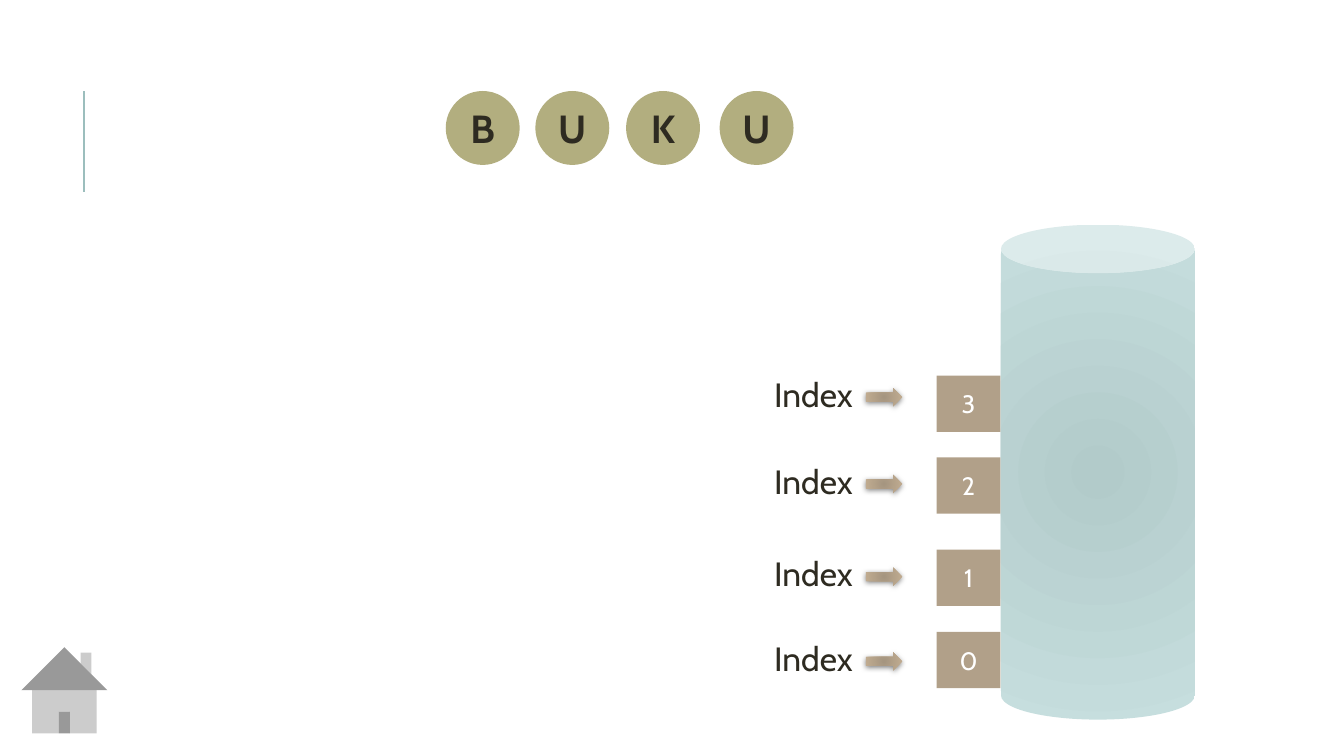
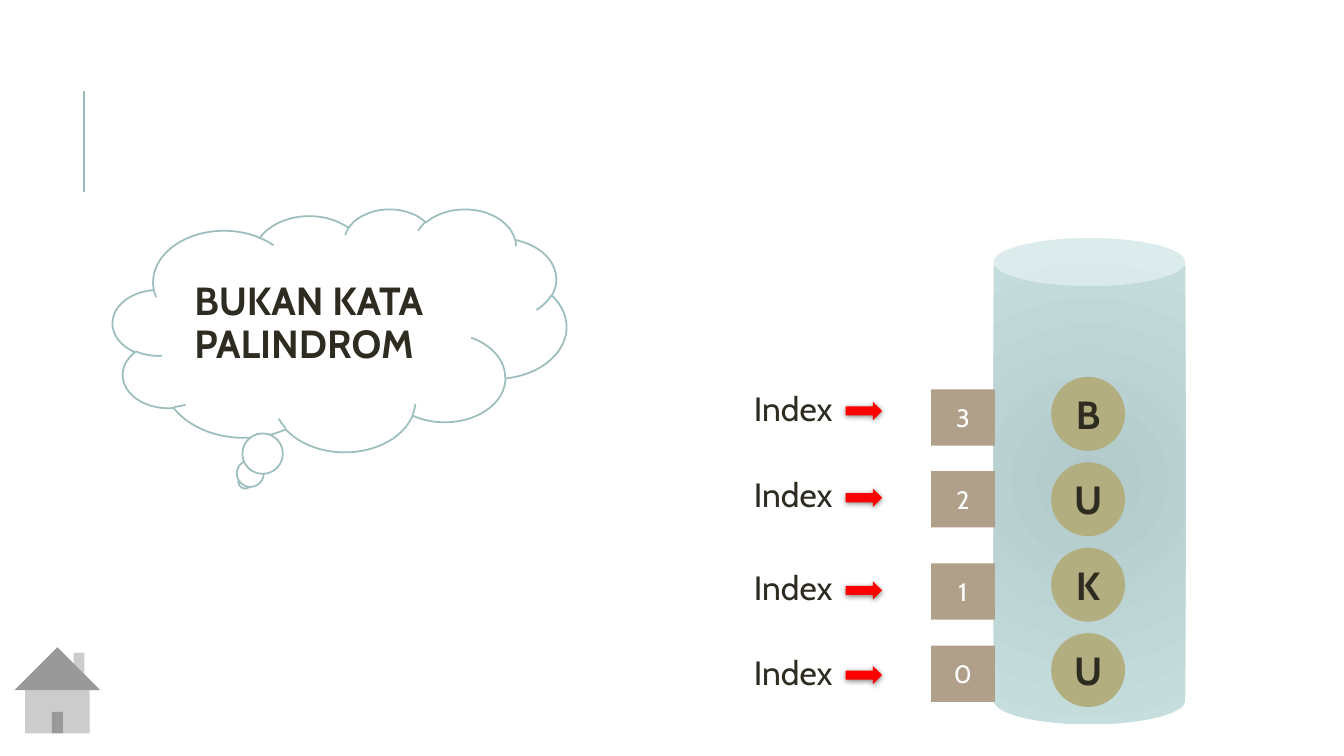
"""Build two slides that show the word BUKU before and after it fills a stack."""
from lxml import etree
from pptx import Presentation
from pptx.dml.color import RGBColor
from pptx.enum import shapes, text
from pptx.oxml import ns
from pptx.util import Pt

WHITE = RGBColor(0xFF, 0xFF, 0xFF)
INK = RGBColor(0x2E, 0x2B, 0x21)
TEAL = RGBColor(0x9C, 0xBE, 0xBD)
OLIVE = RGBColor(0xB2, 0xAE, 0x7F)
TAN = RGBColor(0xB1, 0xA0, 0x89)
RED = RGBColor(0xFF, 0x00, 0x00)
STACK_GRADIENT = (RGBColor(0xB2, 0xCB, 0xCA), RGBColor(0xC6, 0xDE, 0xDE))
ARROW_GRADIENT = (RGBColor(0xA5, 0x95, 0x80), RGBColor(0xC3, 0xAE, 0x92))

FONT = "Cabin"
WORD = "BUKU"
LETTER_SIZE = 52.8
LABEL_TOPS = (452.2, 391.7, 325.5, 263.5)
CELL_TOPS = (451.4, 392.6, 326.8, 268.4)
PRESET = shapes.MSO_SHAPE


def add_effects(element):
    """Append an effect list to the shape properties and return it."""
    return etree.SubElement(element.spPr, ns.qn("a:effectLst"))


def add_shadow(shape):
    """Give a shape a soft shadow that falls straight down."""
    shadow = etree.SubElement(add_effects(shape.element), ns.qn("a:outerShdw"),
                              blurRad=str(Pt(4)), dist=str(Pt(1)), dir="5400000",
                              rotWithShape="0")
    black = etree.SubElement(shadow, ns.qn("a:srgbClr"), val="000000")
    etree.SubElement(black, ns.qn("a:alpha"), val="50000")


def fill_radial(shape, colors):
    """Fill a shape with a circular gradient between two colours."""
    shape.fill.gradient()
    for position, (stop, color) in enumerate(zip(shape.fill.gradient_stops, colors)):
        stop.position = position
        stop.color.rgb = color
    gradient = shape.element.spPr.find(ns.qn("a:gradFill"))
    linear = gradient.find(ns.qn("a:lin"))
    circle = etree.Element(ns.qn("a:path"), {"path": "circle"})
    etree.SubElement(circle, ns.qn("a:fillToRect"),
                     {side: "100000" for side in "ltrb"})
    gradient.replace(linear, circle)


def add_preset(parent, preset, box, fill):
    """Add an unlined preset shape with a plain or a radial fill."""
    shape = parent.shapes.add_shape(preset, *map(Pt, box))
    shape.line.fill.background()
    if isinstance(fill, RGBColor):
        shape.shadow.inherit = False
        shape.fill.solid()
        shape.fill.fore_color.rgb = fill
    else:
        fill_radial(shape, fill)
    return shape


def write(shape, wording, size, color=INK, bold=False, align=text.PP_ALIGN.CENTER):
    """Set the wording of a shape and return its paragraph."""
    frame = shape.text_frame
    frame.word_wrap = True
    frame.text = wording
    paragraph = frame.paragraphs[0]
    paragraph.alignment = align
    font = paragraph.runs[0].font
    font.name, font.size, font.bold = FONT, Pt(size), bold
    font.color.rgb = color
    return paragraph


def add_letter(slide, letter, left, top):
    """Add one letter of the word in a disc."""
    disc = add_preset(slide, PRESET.OVAL, (left, top, LETTER_SIZE, LETTER_SIZE), OLIVE)
    write(disc, letter, 28, bold=True)


def add_stack(slide, box):
    """Add the cylinder that stands for the stack."""
    stack = add_preset(slide, PRESET.CAN, box, STACK_GRADIENT)
    add_effects(stack.element)


def add_indexes(slide, label_left, cell_left, drop, arrow_fill):
    """Add the numbered cells of the stack, each with a label and an arrow."""
    for index, (label_top, cell_top) in enumerate(zip(LABEL_TOPS, CELL_TOPS)):
        pointer = slide.shapes.add_group_shape()
        label = pointer.shapes.add_textbox(
            Pt(label_left), Pt(label_top + drop), Pt(71.3), Pt(36))
        write(label, "Index", 24, align=text.PP_ALIGN.LEFT)
        arrow_box = (label_left + 72.7, label_top + drop + 13.7, 26, 13)
        arrow = add_preset(pointer, PRESET.RIGHT_ARROW, arrow_box, arrow_fill)
        for old in arrow.element.spPr.findall(ns.qn("a:effectLst")):
            arrow.element.spPr.remove(old)
        add_shadow(arrow)
        cell = add_preset(slide, PRESET.RECTANGLE,
                          (cell_left, cell_top + drop, 45.6, 40.2), TAN)
        write(cell, str(index), 18, WHITE)


def add_home(slide, left):
    """Add the home button in the lower left corner."""
    add_preset(slide, PRESET.ACTION_BUTTON_HOME, (left, 452, 82, 82), WHITE)


def add_verdict(slide, wording):
    """Add the thought cloud with the verdict on the word."""
    cloud = add_preset(slide, PRESET.CLOUD_CALLOUT, (80.6, 149, 324, 173.5), WHITE)
    cloud.line.color.rgb = TEAL
    cloud.line.width = Pt(1.25)
    frame = cloud.text_frame
    frame.margin_left = frame.margin_right = Pt(3.6)
    frame.margin_top = frame.margin_bottom = Pt(3.6)
    paragraph = write(cloud, wording, 28, bold=True, align=text.PP_ALIGN.LEFT)
    paragraph.line_spacing = 0.9
    paragraph.space_before, paragraph.space_after = Pt(2), Pt(4)
    properties = paragraph.runs[0].font._element.getparent().getparent().get_or_add_pPr()
    properties.set("marL", str(Pt(10)))
    properties.set("indent", "0")


def add_title_rule(layout, slide):
    """Draw the title rule and move it to the layout that the slides share."""
    rule = slide.shapes.add_connector(
        shapes.MSO_CONNECTOR.STRAIGHT, Pt(60), Pt(137), Pt(60), Pt(65))
    rule.line.color.rgb = TEAL
    rule.line.width = Pt(1.5)
    add_effects(rule.element)
    layout.shapes.element.append(rule.element)


def main():
    """Build and save both slides."""
    deck = Presentation()
    deck.slide_width, deck.slide_height = Pt(960), Pt(540)
    blank = deck.slide_layouts[6]

    empty_stack = deck.slides.add_slide(blank)
    add_title_rule(blank, empty_stack)
    add_stack(empty_stack, (715, 160.5, 138.5, 353.5))
    for letter, left in zip(WORD, (318.4, 382.4, 447.2, 514)):
        add_letter(empty_stack, letter, left, 65)
    add_indexes(empty_stack, 545.8, 669, 0, ARROW_GRADIENT)
    add_home(empty_stack, 5)

    full_stack = deck.slides.add_slide(blank)
    add_stack(full_stack, (709.7, 170, 137, 347.5))
    for place, letter in enumerate(WORD):
        add_letter(full_stack, letter, 750.8, 269.2 + 61 * place)
    add_indexes(full_stack, 531.4, 665, 9.8, RED)
    add_home(full_stack, 0)
    add_verdict(full_stack, "BUKAN KATA PALINDROM")

    deck.save("out.pptx")


main()
